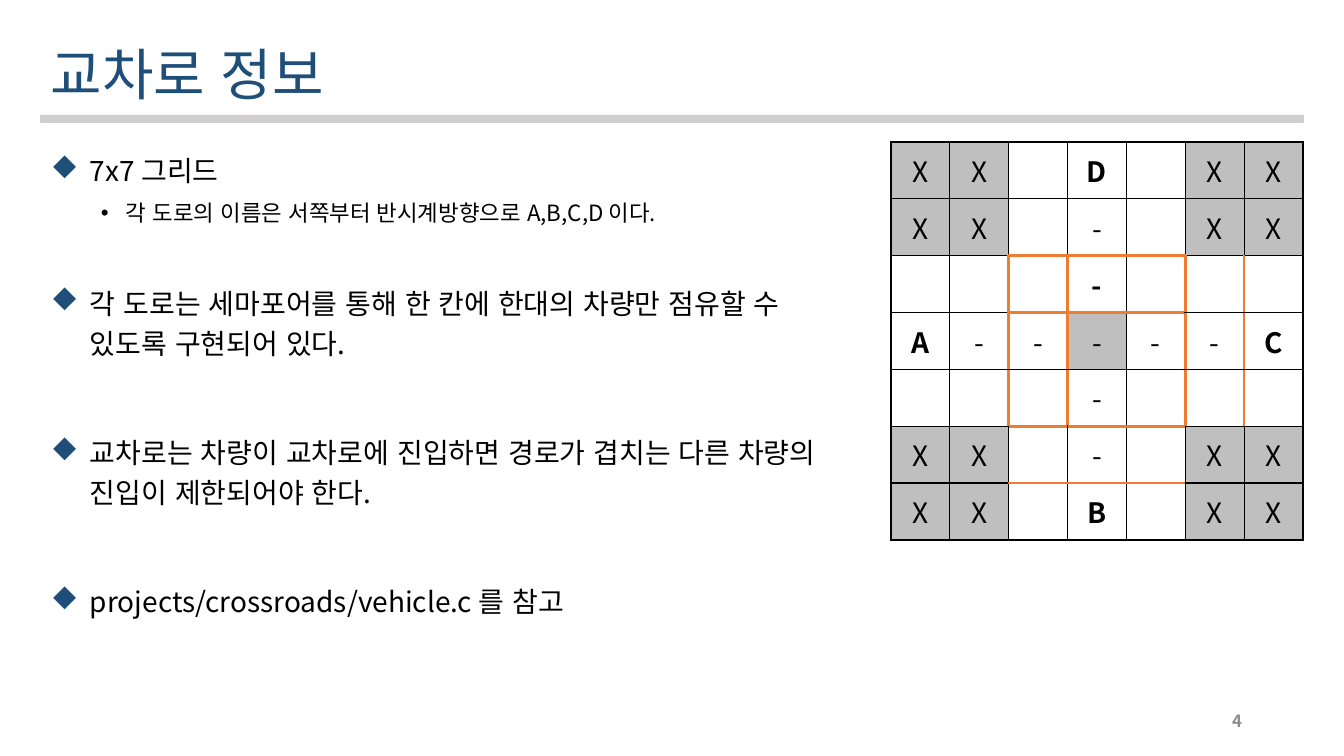
from dataclasses import dataclass

from lxml import etree
from pptx import Presentation
from pptx.dml.color import RGBColor
from pptx.enum.lang import MSO_LANGUAGE_ID
from pptx.enum.shapes import MSO_SHAPE
from pptx.enum.text import MSO_ANCHOR, PP_ALIGN
from pptx.oxml.ns import qn
from pptx.util import Emu, Pt

RECTANGLE = MSO_SHAPE.RECTANGLE
TOP, MIDDLE = MSO_ANCHOR.TOP, MSO_ANCHOR.MIDDLE
LEFT, CENTER, RIGHT = PP_ALIGN.LEFT, PP_ALIGN.CENTER, PP_ALIGN.RIGHT
KOREAN = MSO_LANGUAGE_ID.KOREAN
EMU_PER_PX = 914400 / 100.8


@dataclass(frozen=True)
class Theme:
    """Font, colours and type sizes of the slide."""
    font: str = "Noto Sans CJK KR"
    navy: str = "1F4E79"
    ink: str = "000000"
    rule: str = "D0CECE"
    muted: str = "8C8C8C"
    blocked: str = "BFBFBF"
    road: str = "FFFFFF"
    junction: str = "ED7D31"
    title_size: int = 40
    body_size: int = 20
    detail_size: int = 16
    number_size: int = 12


@dataclass(frozen=True)
class Box:
    """A rectangle in pixels."""
    left: int
    top: int
    width: int
    height: int


@dataclass(frozen=True)
class BulletStyle:
    """Mark, its font, type size and indents (pixels) of one outline level."""
    mark: str
    mark_font: str
    colour: str
    size: int
    margin: int
    hanging: int


@dataclass(frozen=True)
class Point:
    """One bulleted statement with the space before it in points."""
    text: str
    style: BulletStyle
    space_before: float


THEME = Theme()
MAIN = BulletStyle("u", "Wingdings", THEME.navy, THEME.body_size, 39, 39)
DETAIL = BulletStyle("•", "Arial", THEME.ink, THEME.detail_size, 75, 25)
POINTS = (
    Point("7x7 그리드", MAIN, 0),
    Point("각 도로의 이름은 서쪽부터 반시계방향으로 A,B,C,D 이다.", DETAIL, 5),
    Point("각 도로는 세마포어를 통해 한 칸에 한대의 차량만 점유할 수 있도록 구현되어 있다.", MAIN, 38),
    Point("교차로는 차량이 교차로에 진입하면 경로가 겹치는 다른 차량의 진입이 제한되어야 한다.", MAIN, 49),
    Point("projects/crossroads/vehicle.c 를 참고", MAIN, 49),
)

CROSSROADS = (
    "XX D XX",
    "XX - XX",
    "   -   ",
    "A-----C",
    "   -   ",
    "XX - XX",
    "XX B XX",
)
GRID_SIZE = len(CROSSROADS)
CENTRE = (3, 3)
BOLD_DASH = (2, 3)
JUNCTION_CELLS = range(2, 5)
JUNCTION_LINES = (2, 3, 5, 6)


def px(length: int) -> Emu:
    """Turn pixels into EMU."""
    return Emu(round(length * EMU_PER_PX))


def place(box: Box) -> tuple[Emu, Emu, Emu, Emu]:
    """Give the left, top, width and height of a box in EMU."""
    return px(box.left), px(box.top), px(box.width), px(box.height)


def add_run(paragraph, text: str, size: int, colour: str, bold: bool = False) -> None:
    """Append a run in the theme font for Latin and Korean letters."""
    run = paragraph.add_run()
    run.text = text
    run.font.size = Pt(size)
    run.font.bold = bold
    run.font.language_id = KOREAN
    run.font.name = THEME.font
    run.font.color.rgb = RGBColor.from_string(colour)
    etree.SubElement(run.font._element, qn("a:ea"), typeface=THEME.font)


def add_frame(slide, box: Box, anchor: MSO_ANCHOR):
    """Add a wrapping text box and return its text frame."""
    frame = slide.shapes.add_textbox(*place(box)).text_frame
    frame.word_wrap = True
    frame.vertical_anchor = anchor
    return frame


def add_label(slide, box: Box, text: str, size: int, colour: str,
              align: PP_ALIGN = LEFT, spacing: float = 1.0, bold: bool = False) -> None:
    """Add a single vertically centred line of text."""
    paragraph = add_frame(slide, box, MIDDLE).paragraphs[0]
    paragraph.alignment = align
    paragraph.line_spacing = spacing
    add_run(paragraph, text, size, colour, bold)


def add_rule(slide, box: Box) -> None:
    """Add the grey bar under the title."""
    bar = slide.shapes.add_shape(RECTANGLE, *place(box))
    bar.shadow.inherit = False
    bar.fill.solid()
    bar.fill.fore_color.rgb = RGBColor.from_string(THEME.rule)
    bar.line.fill.background()


def set_bullet(paragraph, style: BulletStyle) -> None:
    """Give a paragraph its mark and hanging indent."""
    properties = paragraph._p.get_or_add_pPr()
    properties.set("marL", str(px(style.margin)))
    properties.set("indent", str(px(-style.hanging)))
    colour = etree.SubElement(properties, qn("a:buClr"))
    etree.SubElement(colour, qn("a:srgbClr"), val=style.colour)
    etree.SubElement(properties, qn("a:buFont"), typeface=style.mark_font)
    etree.SubElement(properties, qn("a:buChar"), char=style.mark)


def add_points(slide, box: Box, points: tuple[Point, ...]) -> None:
    """Add the bulleted statements."""
    frame = add_frame(slide, box, TOP)
    for index, point in enumerate(points):
        paragraph = frame.add_paragraph() if index else frame.paragraphs[0]
        paragraph.line_spacing = 1.2
        paragraph.space_before = Pt(point.space_before)
        set_bullet(paragraph, point.style)
        add_run(paragraph, point.text, point.style.size, THEME.ink)


def border(line: int, across: int) -> tuple[str, float]:
    """Give colour and width of a grid line where it passes one cell."""
    if line in JUNCTION_LINES and across in JUNCTION_CELLS:
        return THEME.junction, 2.25
    return THEME.ink, 1.5 if line in (0, GRID_SIZE) else 1


def set_borders(cell, row: int, column: int) -> None:
    """Draw the four edges of a cell."""
    edges = {
        "a:lnL": border(column, row),
        "a:lnR": border(column + 1, row),
        "a:lnT": border(row, column),
        "a:lnB": border(row + 1, column),
    }
    properties = cell._tc.get_or_add_tcPr()
    for index, (tag, (colour, width)) in enumerate(edges.items()):
        edge = etree.Element(qn(tag), w=str(Pt(width)))
        fill = etree.SubElement(edge, qn("a:solidFill"))
        etree.SubElement(fill, qn("a:srgbClr"), val=colour)
        properties.insert(index, edge)


def add_crossroads(slide, box: Box) -> None:
    """Add the grid of roads, blocked corners and the outlined junction."""
    table = slide.shapes.add_table(GRID_SIZE, GRID_SIZE, *place(box)).table
    table.first_row = table.horz_banding = False
    for row, marks in enumerate(CROSSROADS):
        for column, mark in enumerate(marks):
            cell = table.cell(row, column)
            cell.vertical_anchor = MIDDLE
            cell.margin_left = cell.margin_right = px(12)
            cell.margin_top = cell.margin_bottom = px(6)
            blocked = mark == "X" or (row, column) == CENTRE
            cell.fill.solid()
            cell.fill.fore_color.rgb = RGBColor.from_string(
                THEME.blocked if blocked else THEME.road)
            set_borders(cell, row, column)
            if mark != " ":
                paragraph = cell.text_frame.paragraphs[0]
                paragraph.alignment = CENTER
                bold = mark in "ABCD" or (row, column) == BOLD_DASH
                add_run(paragraph, mark, THEME.body_size, THEME.ink, bold)


deck = Presentation()
deck.slide_width, deck.slide_height = px(1344), px(756)
page = deck.slides.add_slide(deck.slide_layouts[6])
add_rule(page, Box(40, 115, 1264, 8))
add_label(page, Box(950, 701, 302, 40), "4", THEME.number_size, THEME.muted, RIGHT, bold=True)
add_label(page, Box(41, 37, 1263, 81), "교차로 정보", THEME.title_size, THEME.navy, spacing=0.9)
add_points(page, Box(41, 142, 800, 482), POINTS)
add_crossroads(page, Box(891, 142, 412, 398))
deck.save("out.pptx")
